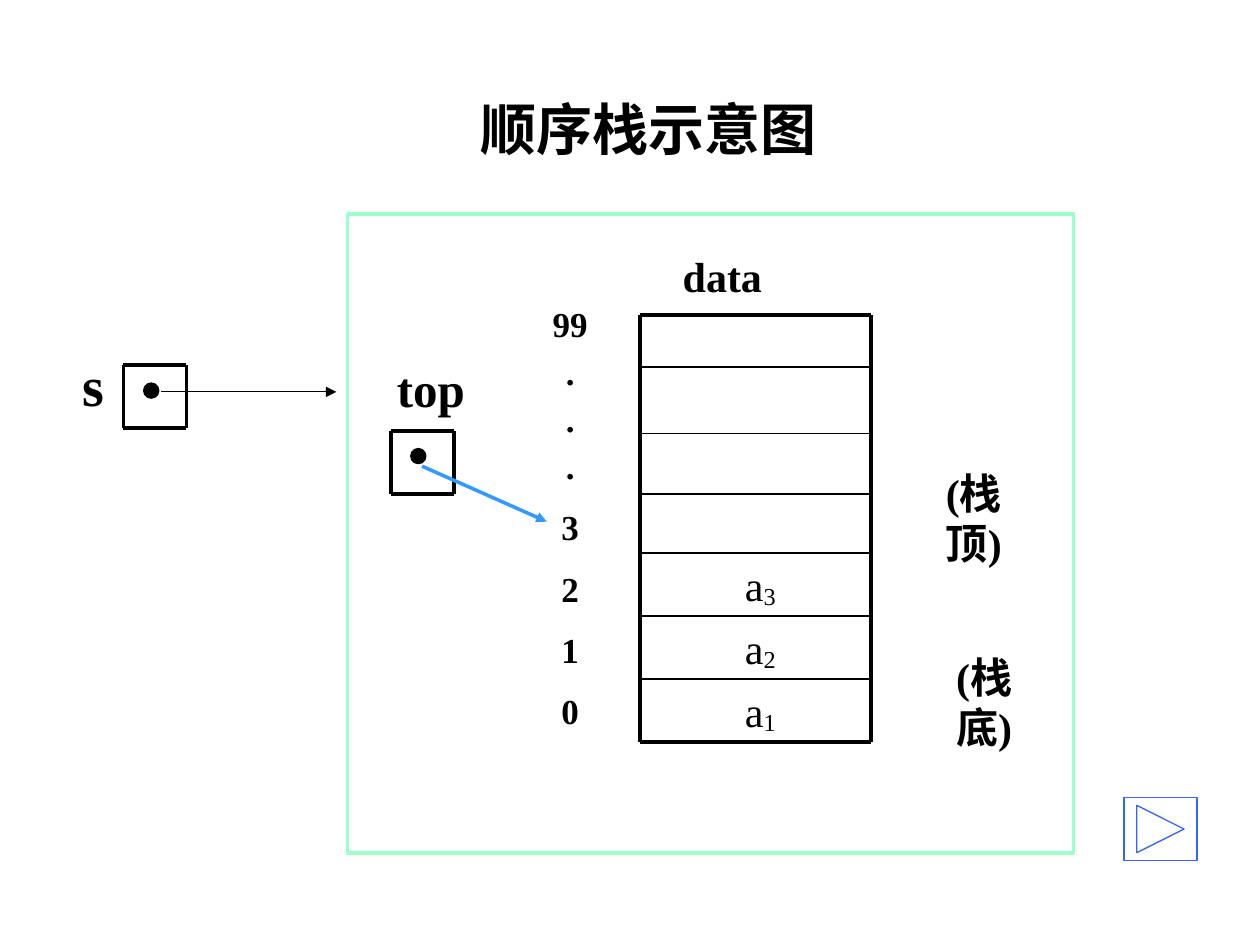
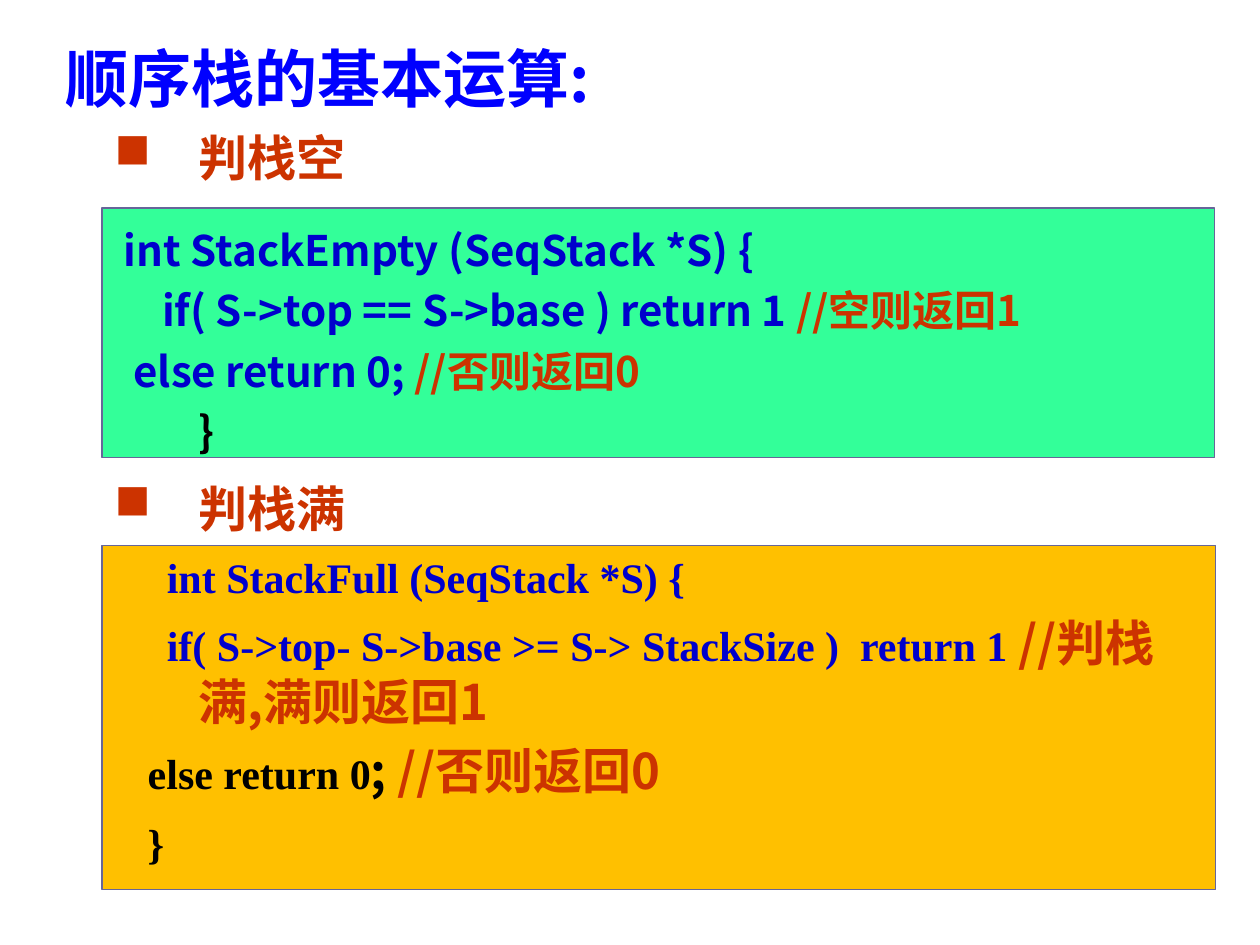
from dataclasses import dataclass, replace
from itertools import accumulate
from typing import NamedTuple, Optional

from lxml.etree import SubElement
from pptx import Presentation
from pptx.dml.color import RGBColor
from pptx.enum.shapes import MSO_CONNECTOR, MSO_SHAPE
from pptx.enum.text import MSO_ANCHOR, MSO_AUTO_SIZE, PP_ALIGN
from pptx.oxml.ns import qn
from pptx.util import Emu, Inches, Pt

GRID_COLUMNS, GRID_ROWS = 100, 75
SLIDE_WIDTH, SLIDE_HEIGHT = Inches(10), Inches(7.5)
CELL = SLIDE_WIDTH / GRID_COLUMNS


@dataclass(frozen=True)
class Theme:
    serif: str = "Times New Roman"
    sans: str = "Noto Sans CJK SC"
    black: str = "000000"
    heading: str = "0000FF"
    code: str = "0000CC"
    remark: str = "CC3300"
    frame: str = "99FFCC"
    arrow: str = "3399FF"
    button: str = "3366FF"
    panel_edge: str = "666699"
    green: str = "33FF99"
    orange: str = "FFC000"
    index_size: int = 20
    code_size: int = 24
    label_size: int = 28
    title_size: int = 32
    heading_size: int = 36
    hairline: float = 0.75
    thin: float = 1
    medium: float = 2
    thick: float = 2.25


THEME = Theme()


class Area(NamedTuple):
    column: float
    row: float
    columns: float
    rows: float


class Point(NamedTuple):
    column: float
    row: float


@dataclass(frozen=True)
class Style:
    size: int
    color: str = THEME.black
    font: str = THEME.serif
    bold: bool = True


class Span(NamedTuple):
    text: str
    style: Optional[Style] = None
    baseline: int = 0


@dataclass(frozen=True)
class Para:
    spans: tuple
    style: Style
    align: PP_ALIGN = PP_ALIGN.LEFT
    before: float = 0
    spacing: Optional[float] = None
    hanging: float = 0
    bullet: str = ""


class Panel(NamedTuple):
    caption: str
    caption_area: Area
    area: Area
    fill: str
    paras: list


def cells(count: float) -> Emu:
    return Emu(round(count * CELL))


def apply_style(font, style: Style) -> None:
    font.name, font.size, font.bold = style.font, Pt(style.size), style.bold
    font.color.rgb = RGBColor.from_string(style.color)


def write(frame, paras: list, anchor=MSO_ANCHOR.TOP, wrap: bool = True) -> None:
    frame.auto_size = MSO_AUTO_SIZE.NONE
    frame.vertical_anchor, frame.word_wrap = anchor, wrap
    for number, para in enumerate(paras):
        paragraph = frame.add_paragraph() if number else frame.paragraphs[0]
        paragraph.alignment = para.align
        if number and para.before:
            paragraph.space_before = Pt(para.before)
        if para.spacing:
            paragraph.line_spacing = para.spacing
        properties = paragraph._p.get_or_add_pPr()
        if para.hanging:
            properties.set("marL", str(cells(para.hanging)))
            properties.set("indent", str(-cells(para.hanging)))
        if para.bullet:
            SubElement(properties, qn("a:buChar")).set("char", para.bullet)
        apply_style(paragraph.font, para.style)
        for span in para.spans:
            run = paragraph.add_run()
            run.text = span.text
            if span.style:
                apply_style(run.font, span.style)
            if span.baseline:
                run._r.get_or_add_rPr().set("baseline", str(span.baseline * 1000))


def place(shape, area: Area) -> None:
    shape.left, shape.top, shape.width, shape.height = map(cells, area)


def add_title(page, area: Area, para: Para, anchor) -> None:
    place(page.shapes.title, area)
    write(page.shapes.title.text_frame, [para], anchor)


def add_text(page, area: Area, paras: list, anchor=MSO_ANCHOR.MIDDLE, wrap: bool = True) -> None:
    box = page.shapes.add_textbox(*map(cells, area))
    write(box.text_frame, paras, anchor, wrap)


def add_label(page, area: Area, text: str, size: int) -> None:
    add_text(page, area, [Para((Span(text),), Style(size), PP_ALIGN.CENTER)])


def add_figure(page, kind, area: Area, line: str, width: float, fill: str = ""):
    shape = page.shapes.add_shape(kind, *map(cells, area))
    shape.shadow.inherit = False
    shape.line.color.rgb = RGBColor.from_string(line)
    shape.line.width = Pt(width)
    if fill:
        shape.fill.solid()
        shape.fill.fore_color.rgb = RGBColor.from_string(fill)
    else:
        shape.fill.background()
    return shape


def add_line(page, start: Point, end: Point, width: float,
             color: str = THEME.black, arrow: bool = False) -> None:
    line = page.shapes.add_connector(MSO_CONNECTOR.STRAIGHT, *map(cells, start + end))
    line.line.color.rgb = RGBColor.from_string(color)
    line.line.width = Pt(width)
    if arrow:
        SubElement(line.line._get_or_add_ln(), qn("a:tailEnd")).set("type", "triangle")
    SubElement(line._element.spPr, qn("a:effectLst"))


def add_edges(page, area: Area) -> None:
    left, top = area.column, area.row
    right, bottom = left + area.columns, top + area.rows
    for row in (top, bottom):
        add_line(page, Point(left, row), Point(right, row), THEME.thick)
    for column in (left, right):
        add_line(page, Point(column, top), Point(column, bottom), THEME.thick)


def add_pointer(page, corner: Point) -> None:
    add_edges(page, Area(*corner, 5, 5))
    dot = Area(corner.column + 1.6, corner.row + 1.4, 1.2, 1.2)
    add_figure(page, MSO_SHAPE.OVAL, dot, THEME.black, THEME.hairline, THEME.black)


def add_stack(page, area: Area, slot_rows: list) -> None:
    add_edges(page, area)
    tops = list(accumulate(slot_rows, initial=area.row))
    for row in tops[1:-1]:
        add_line(page, Point(area.column, row),
                 Point(area.column + area.columns, row), THEME.thin)
    plain = Style(THEME.code_size, bold=False)
    for number, row in enumerate(reversed(tops[-4:-1]), 1):
        element = Para((Span("a"), Span(str(number), baseline=-10)), plain, PP_ALIGN.CENTER)
        add_text(page, Area(area.column + 0.4, row, area.columns, 5), [element], MSO_ANCHOR.TOP)


def build_diagram(deck) -> None:
    page = deck.slides.add_slide(deck.slide_layouts[5])
    title = Para((Span("顺序栈示意图"),), Style(THEME.title_size), PP_ALIGN.CENTER)
    add_title(page, Area(29.7, 6.7, 43.6, 7), title, MSO_ANCHOR.MIDDLE)

    add_figure(page, MSO_SHAPE.RECTANGLE, Area(27.6, 17, 57.6, 50.7), THEME.frame, THEME.medium)
    add_stack(page, Area(50.8, 25, 18.3, 33.9), [4.1, 5.3, 4.8, 4.7, 5, 5, 5])
    data = Para((Span("data"),), Style(THEME.code_size))
    add_text(page, Area(53.2, 19.4, 8.3, 5), [data], MSO_ANCHOR.TOP, wrap=False)
    indexes = [
        Para((Span(text),), Style(THEME.index_size), PP_ALIGN.CENTER, before)
        for text, before in [("99", 0)] + [(".", 3)] * 3 + [(text, 11) for text in "3210"]
    ]
    add_text(page, Area(39.9, 23.4, 10.7, 35.3), indexes)

    add_label(page, Area(5.5, 27.3, 3.9, 6.3), "s", THEME.title_size)
    add_label(page, Area(29.7, 27.9, 9, 5.7), "top", THEME.label_size)
    add_label(page, Area(72.8, 38.6, 9, 5), "(栈顶)", THEME.code_size)
    add_label(page, Area(73.6, 53.2, 9, 5), "(栈底)", THEME.code_size)

    add_pointer(page, Point(9.8, 29))
    add_pointer(page, Point(31, 34.2))
    add_line(page, Point(12.8, 31.1), Point(26.7, 31.1), THEME.hairline, arrow=True)
    add_line(page, Point(33.5, 37), Point(43.4, 41.4), THEME.medium, THEME.arrow, arrow=True)
    add_figure(page, MSO_SHAPE.ACTION_BUTTON_FORWARD_OR_NEXT,
               Area(89.2, 63.3, 5.8, 5), THEME.button, THEME.hairline)


def build_operations(deck) -> None:
    page = deck.slides.add_slide(deck.slide_layouts[5])
    heading = Style(THEME.heading_size, THEME.heading, THEME.sans)
    add_title(page, Area(4.2, 2.6, 59.6, 7), Para((Span("顺序栈的基本运算:"),), heading),
              MSO_ANCHOR.TOP)

    caption = Style(THEME.label_size, THEME.remark, THEME.sans)
    sans_code = Style(THEME.code_size, THEME.code, THEME.sans)
    sans_remark = replace(sans_code, color=THEME.remark)
    serif_code = Style(THEME.code_size, THEME.code)
    serif_black = Style(THEME.code_size)
    wide_black = replace(caption, color=THEME.black)

    def empty_line(*spans: Span, style: Style = sans_code) -> Para:
        return Para(spans, style, PP_ALIGN.JUSTIFY, spacing=1.2, hanging=6.7)

    def full_line(*spans: Span, style: Style = serif_code) -> Para:
        return Para(spans, style, before=6, hanging=6.7)

    panels = [
        Panel("判栈空", Area(8.1, 9.6, 20.6, 5.7), Area(8.1, 16.5, 88.3, 19.8), THEME.green, [
            empty_line(Span(" int StackEmpty (SeqStack *S) {")),
            empty_line(Span("     if( S->top == S->base ) return 1 "),
                       Span("//空则返回1", sans_remark)),
            empty_line(Span("  else return 0; "), Span("//否则返回0", sans_remark)),
            empty_line(Span(" \t}"), style=replace(sans_code, color=THEME.black)),
        ]),
        Panel("判栈满", Area(8.1, 37.5, 20.6, 5.7), Area(8.1, 43.3, 88.4, 27.3), THEME.orange, [
            full_line(Span("     int StackFull (SeqStack *S) {")),
            full_line(Span("     if( S->top- S->base >= S-> StackSize )  return 1"),
                      Span(" //判栈满,满则返回1", caption)),
            full_line(Span("   ", wide_black), Span("else return 0"),
                      Span("; ", wide_black), Span("//否则返回0", caption), style=serif_black),
            full_line(Span("   ", wide_black), Span("}"), style=serif_black),
        ]),
    ]
    for panel in panels:
        bullet = Para((Span(panel.caption),), caption, hanging=6.7, bullet="■")
        add_text(page, panel.caption_area, [bullet], MSO_ANCHOR.TOP, wrap=False)
        shape = add_figure(page, MSO_SHAPE.RECTANGLE, panel.area,
                           THEME.panel_edge, THEME.hairline, panel.fill)
        write(shape.text_frame, panel.paras)


def main() -> None:
    deck = Presentation()
    deck.slide_width, deck.slide_height = SLIDE_WIDTH, SLIDE_HEIGHT
    build_diagram(deck)
    build_operations(deck)
    deck.save("out.pptx")


if __name__ == "__main__":
    main()
